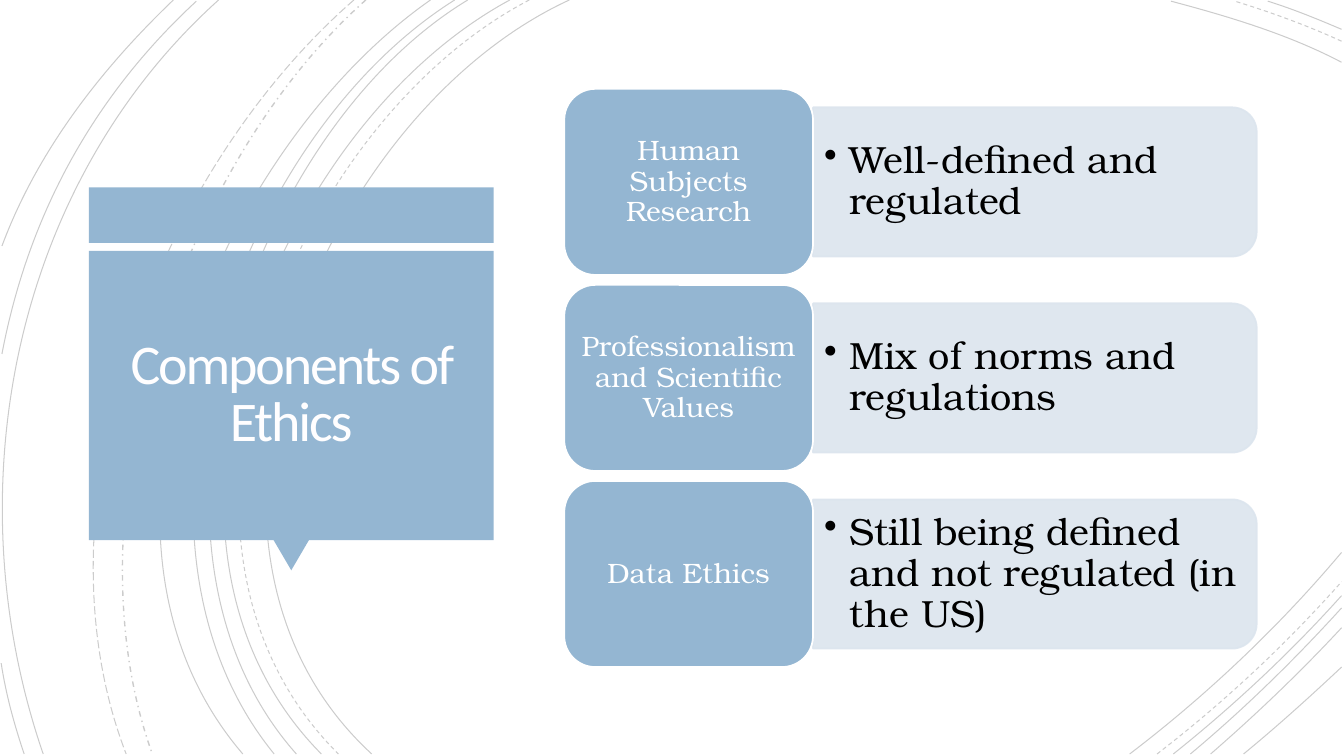
from lxml import etree
from pptx import Presentation
from pptx.dml.color import RGBColor
from pptx.enum import dml, shapes, text
from pptx.oxml.ns import qn
from pptx.util import Cm, Pt

BLUE, PALE, WHITE, BLACK = "94B6D2", "DCE5EE", "FFFFFF", "000000"
TITLE_FONT, BODY_FONT = "Calibri", "TeX Gyre Bonum"
SHAPE, DASH = shapes.MSO_SHAPE, dml.MSO_LINE
PAGE_BOTTOM = 19
PAGE_RIGHT = 33.81

# Left arcs run from the top edge to the bottom edge:
# top x, first control point, second control point, bottom x
LEFT_ARCS = [
    (14.35, (8, 2.92), (3.63, 13.72), 9.37, DASH.SOLID, 0.75),
    (13.34, (7.24, 3.18), (3.12, 13.64), 8.53, DASH.DASH, 0.75),
    (12.85, (6.86, 3.23), (2.79, 13.64), 8.1, DASH.SOLID, 0.75),
    (11.79, (6.2, 3.38), (2.79, 13.74), 7.47, DASH.SOLID, 0.75),
    (11.46, (5.87, 3.51), (2.46, 13.54), 6.91, DASH.SOLID, 0.75),
    (10.85, (5.51, 3.73), (1.35, 13.44), 6.12, DASH.SOLID, 0.75),
    (9.22, (4.47, 4.22), (1.65, 12.93), 3.84, DASH.DASH_DOT, 1),
    (8.92, (3.99, 4.29), (0.74, 12.67), 3.18, DASH.LONG_DASH, 0.75),
    (5.51, (0.28, 4.7), (-1.17, 12.45), 1.09, DASH.SOLID, 0.75),
]
# Top right arcs: right-edge y, two control points, top x
TOP_RIGHT_ARCS = [
    (1.57, (32.46, 0.86), (30.94, 0.41), 29.51, DASH.SOLID),
    (1.04, (32.94, 0.64), (32, 0.3), 31.12, DASH.DASH),
    (0.74, (33.2, 0.48), (32.59, 0.23), 31.95, DASH.SOLID),
]
# Bottom right arcs: bottom x, two control points, right-edge y
BOTTOM_RIGHT_ARCS = [
    (28.47, (30.4, 17.53), (32.23, 15.8), 13.92, DASH.SOLID),
    (29.16, (30.81, 17.73), (32.39, 16.26), 14.66, DASH.DASH),
    (29.57, (31.06, 17.81), (32.51, 16.46), 15.01, DASH.SOLID),
    (30, (31.34, 17.88), (32.61, 16.64), 15.32, DASH.SOLID),
    (30.51, (31.65, 18.01), (32.77, 16.94), 15.82, DASH.SOLID),
    (31.34, (32.18, 18.31), (32.99, 17.58), 16.81, DASH.SOLID),
]
LEFT_EDGE_ARCS = [
    ((4.95, 0.03), (2.34, 2.44), (0.71, 5.44), (0.05, 8.92)),
    ((0.03, 16.71), (0.15, 17.5), (0.36, 18.26), (0.61, PAGE_BOTTOM)),
    ((4.37, 0), (2.54, 1.75), (0.94, 3.81), (0.05, 6.2)),
]
COMPONENTS = [
    ("Human Subjects Research", "Well-defined and regulated"),
    ("Professionalism and Scientific Values", "Mix of norms and regulations"),
    ("Data Ethics", "Still being defined and not regulated (in the US)"),
]


def color(hex_code):
    return RGBColor.from_string(hex_code)


def fade(shape, percent):
    """Make the fill and line of a shape partly transparent."""
    for rgb in shape._element.spPr.iter(qn("a:srgbClr")):
        etree.SubElement(rgb, qn("a:alpha"), val=str(percent * 1000))


def add_block(slide, kind, left, top, width, height, fill, line=None):
    block = slide.shapes.add_shape(kind, Cm(left), Cm(top), Cm(width), Cm(height))
    block.shadow.inherit = False
    block.fill.solid()
    block.fill.fore_color.rgb = color(fill)
    if line:
        block.line.color.rgb = color(line)
        block.line.width = Pt(1.25)
    else:
        block.line.fill.background()
    return block


def write(shape, words, font, size, ink, align, spacing, inset_x, inset_y):
    frame = shape.text_frame
    frame.text = words
    frame.word_wrap = True
    frame.auto_size = text.MSO_AUTO_SIZE.NONE
    frame.vertical_anchor = text.MSO_ANCHOR.MIDDLE
    frame.margin_left = frame.margin_right = Cm(inset_x)
    frame.margin_top = frame.margin_bottom = Cm(inset_y)
    paragraph = frame.paragraphs[0]
    paragraph.alignment = align
    paragraph.line_spacing = spacing
    run = paragraph.runs[0]
    run.font.name = font
    run.font.size = Pt(size)
    run.font.color.rgb = color(ink)
    return paragraph


def add_arc(slide, start, control1, control2, end, dash=DASH.SOLID, weight=0.75):
    """Draw one cubic curve from its end points and control points."""
    first, *others = [(Cm(x), Cm(y)) for x, y in (start, control1, control2, end)]
    builder = slide.shapes.build_freeform(*first)
    builder.add_line_segments(others, close=False)
    arc = builder.convert_to_shape()
    # Merge the three straight segments into one curve
    segments = list(arc._element.spPr.iter(qn("a:lnTo")))
    curve = etree.SubElement(segments[0].getparent(), qn("a:cubicBezTo"))
    for segment in segments:
        curve.append(segment[0])
        segment.getparent().remove(segment)
    arc.shadow.inherit = False
    arc.fill.background()
    arc.line.color.rgb = color(BLACK)
    arc.line.width = Pt(weight)
    arc.line.dash_style = dash
    fade(arc, 20)


def add_background_arcs(slide):
    for top_x, control1, control2, bottom_x, dash, weight in LEFT_ARCS:
        add_arc(slide, (top_x, 0), control1, control2, (bottom_x, PAGE_BOTTOM), dash, weight)
    for right_y, control1, control2, top_x, dash in TOP_RIGHT_ARCS:
        add_arc(slide, (PAGE_RIGHT, right_y), control1, control2, (top_x, 0.03), dash)
    for bottom_x, control1, control2, right_y, dash in BOTTOM_RIGHT_ARCS:
        add_arc(slide, (bottom_x, PAGE_BOTTOM), control1, control2, (PAGE_RIGHT, right_y), dash)
    for arc in LEFT_EDGE_ARCS:
        add_arc(slide, *arc)


def add_title_card(slide, left, top, width, height):
    band_height, gap, pointer_width, pointer_height = 1.4, 0.2, 0.89, 0.76
    body_top = top + band_height + gap
    body_height = height - band_height - gap - pointer_height
    add_block(slide, SHAPE.RECTANGLE, left, top, width, band_height, BLUE)
    pointer = add_block(slide, SHAPE.ISOSCELES_TRIANGLE, left + (width - pointer_width) / 2,
                        body_top + body_height, pointer_width, pointer_height, BLUE)
    pointer.rotation = 180
    add_block(slide, SHAPE.RECTANGLE, left, body_top, width, body_height, BLUE)

    title = slide.shapes.title
    margin = 0.23
    title.left, title.top = Cm(left + margin), Cm(body_top + margin)
    title.width, title.height = Cm(width - 2 * margin), Cm(body_height - 2 * margin)
    heading = write(title, "Components of Ethics", TITLE_FONT, 40, "FFFEFF",
                    text.PP_ALIGN.CENTER, 0.85, 0.64, 0.64)
    heading.runs[0].font._element.set("spc", "-150")
    slide.shapes._spTree.append(title._element)  # bring in front of the card


def add_component(slide, label, status, left, top, width, height):
    label_width, panel_height = 6.27, 3.76
    panel_left, panel_width = left + label_width, width - label_width
    middle = top + height / 2

    # The panel is turned a quarter so that its rounded corners face right
    panel = add_block(slide, SHAPE.ROUND_2_SAME_RECTANGLE,
                      panel_left + (panel_width - panel_height) / 2,
                      middle - panel_width / 2, panel_height, panel_width, PALE, PALE)
    panel.rotation = 90
    fade(panel, 90)

    status_height = 3.4
    status_box = slide.shapes.add_textbox(Cm(panel_left), Cm(middle - status_height / 2),
                                          Cm(panel_width - 0.2), Cm(status_height))
    bullet_line = write(status_box, status, BODY_FONT, 27, BLACK,
                        text.PP_ALIGN.LEFT, 0.9, 0.28, 0.15)
    properties = bullet_line._p.get_or_add_pPr()
    properties.set("marL", str(Cm(0.64)))
    properties.set("indent", str(Cm(-0.64)))
    etree.SubElement(properties, qn("a:buChar"), char="•")

    tile = add_block(slide, SHAPE.ROUNDED_RECTANGLE, left, top, label_width, height, BLUE, WHITE)
    write(tile, label, BODY_FONT, 20, WHITE, text.PP_ALIGN.CENTER, 0.9, 0.18, 0.1)


def add_component_list(slide, left, top, width, height):
    gap = 0.25
    row_height = (height - gap * (len(COMPONENTS) - 1)) / len(COMPONENTS)
    for row, (label, status) in enumerate(COMPONENTS):
        add_component(slide, label, status, left, top + row * (row_height + gap),
                      width, row_height)


def main():
    deck = Presentation()
    deck.slide_width, deck.slide_height = Cm(33.87), Cm(19.05)
    slide = deck.slides.add_slide(deck.slide_layouts[5])
    add_background_arcs(slide)
    add_title_card(slide, 2.24, 4.72, 10.2, 9.65)
    add_component_list(slide, 14.22, 2.24, 17.45, 14.57)
    deck.save("out.pptx")


if __name__ == "__main__":
    main()
